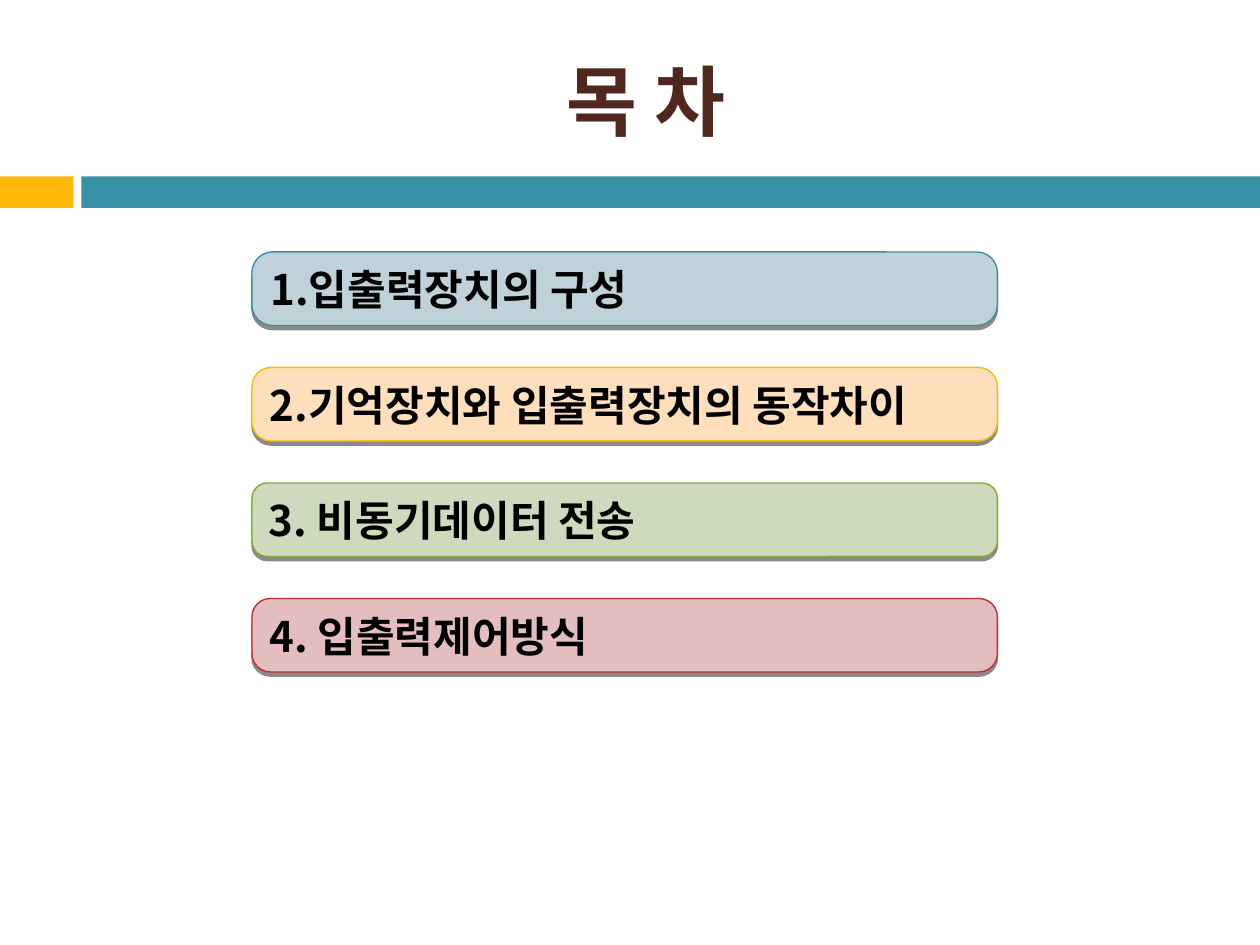
from dataclasses import dataclass

from lxml import etree
from pptx import Presentation
from pptx.dml.color import RGBColor
from pptx.enum.shapes import MSO_SHAPE
from pptx.enum.text import MSO_ANCHOR, PP_ALIGN
from pptx.oxml.ns import qn
from pptx.util import Pt

RECT, ROUND = MSO_SHAPE.RECTANGLE, MSO_SHAPE.ROUNDED_RECTANGLE
LEFT, CENTER = PP_ALIGN.LEFT, PP_ALIGN.CENTER
MIDDLE = MSO_ANCHOR.MIDDLE


@dataclass(frozen=True)
class Theme:
    font: str = "Noto Sans CJK KR"
    title_size: int = 44
    item_size: int = 24
    title: str = "4F271C"
    text: str = "000000"
    shadow: str = "000000"
    teal: str = "3891A7"
    amber: str = "FEB80A"
    green: str = "84AA33"
    red: str = "C32D2E"
    pale_teal: str = "BFD2D9"
    pale_amber: str = "FFDFBC"
    pale_green: str = "CEDABE"
    pale_red: str = "E4BEBE"


def write(tf, text, *, font, size, color, align=LEFT):
    tf.word_wrap = True
    tf.vertical_anchor = MIDDLE
    p = tf.paragraphs[0]
    p.alignment = align
    r = p.add_run()
    r.text = text
    r.font.name, r.font.size, r.font.bold = font, Pt(size), True
    r.font.color.rgb = RGBColor.from_string(color)
    etree.SubElement(r.font._element, qn("a:ea"), typeface=font)


class Deck:
    """Draws styled elements on the current slide."""

    def __init__(self, prs, theme):
        self.theme = theme
        self.s = prs.slides.add_slide(prs.slide_layouts[6])

    def shape(self, kind, box, fill):
        sp = self.s.shapes.add_shape(kind, *map(Pt, box))
        sp.shadow.inherit = False
        sp.fill.solid()
        sp.fill.fore_color.rgb = RGBColor.from_string(fill)
        return sp

    def bar(self, box, fill):
        self.shape(RECT, box, fill).line.fill.background()

    def title(self, box, text):
        t = self.theme
        sp = self.s.shapes.add_textbox(*map(Pt, box))
        write(sp.text_frame, text, font=t.font, size=t.title_size,
              color=t.title, align=CENTER)

    def item(self, box, text, fill, line, corner):
        t = self.theme
        sp = self.shape(ROUND, box, fill)
        sp.adjustments[0] = corner
        sp.line.color.rgb = RGBColor.from_string(line)
        sp.line.width = Pt(0.79)
        self.drop_shadow(sp)
        write(sp.text_frame, text, font=t.font, size=t.item_size, color=t.text)

    def drop_shadow(self, sp):
        effects = sp._element.spPr.find(qn("a:effectLst"))
        shadow = etree.SubElement(effects, qn("a:outerShdw"), blurRad="0",
                                  dist=str(Pt(2.4)), dir="5400000", rotWithShape="0")
        color = etree.SubElement(shadow, qn("a:srgbClr"), val=self.theme.shadow)
        etree.SubElement(color, qn("a:alpha"), val="45000")


def main():
    prs = Presentation()
    prs.slide_width, prs.slide_height = Pt(720), Pt(540)
    t = Theme()
    deck = Deck(prs, t)
    deck.bar((0, 100.8, 42, 18), t.amber)
    deck.bar((46.5, 100.8, 673.5, 18), t.teal)
    deck.title((48, 18, 642, 78), "목 차")
    items = [
        ("1.입출력장치의 구성", t.pale_teal, t.teal, 0.28),
        ("2.기억장치와 입출력장치의 동작차이", t.pale_amber, t.amber, 0.26),
        ("3. 비동기데이터 전송", t.pale_green, t.green, 0.21),
        ("4. 입출력제어방식", t.pale_red, t.red, 0.25),
    ]
    for i, item in enumerate(items):
        deck.item((144, 144 + 66 * i, 426, 42), *item)
    prs.save("out.pptx")


if __name__ == "__main__":
    main()
